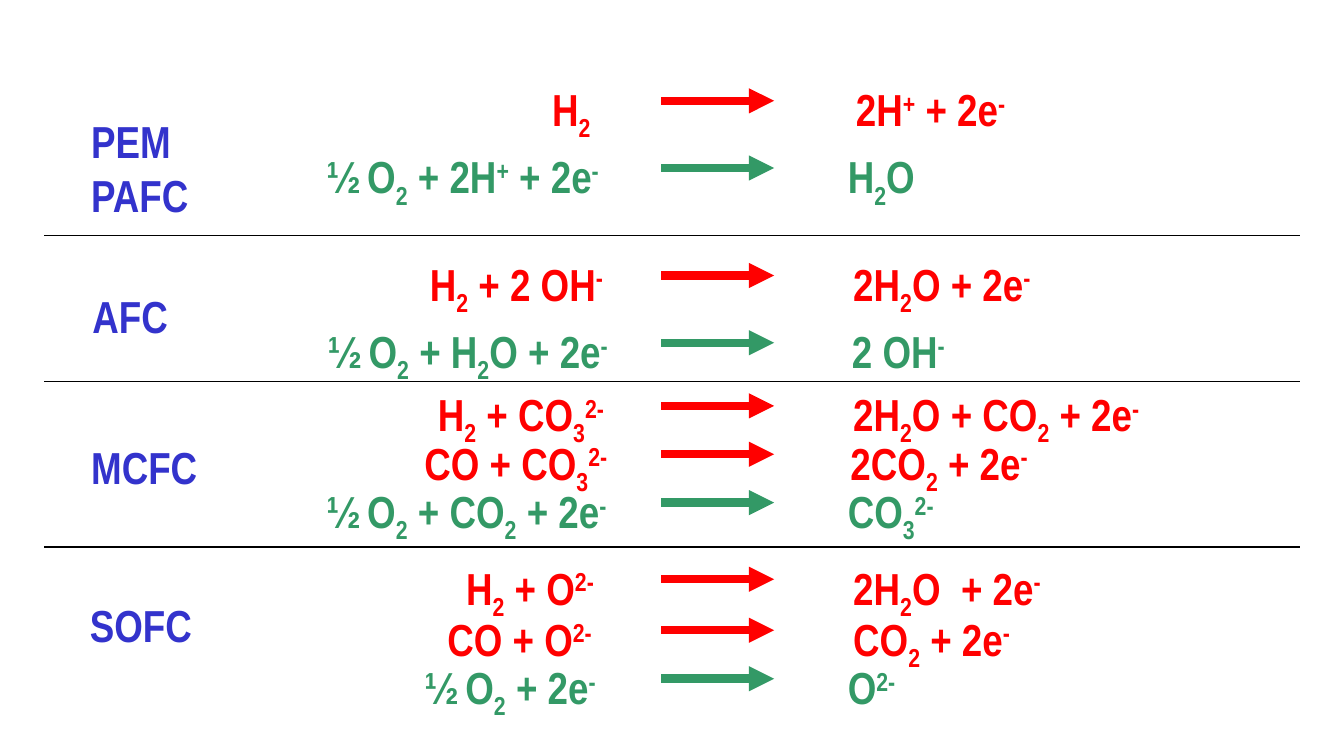
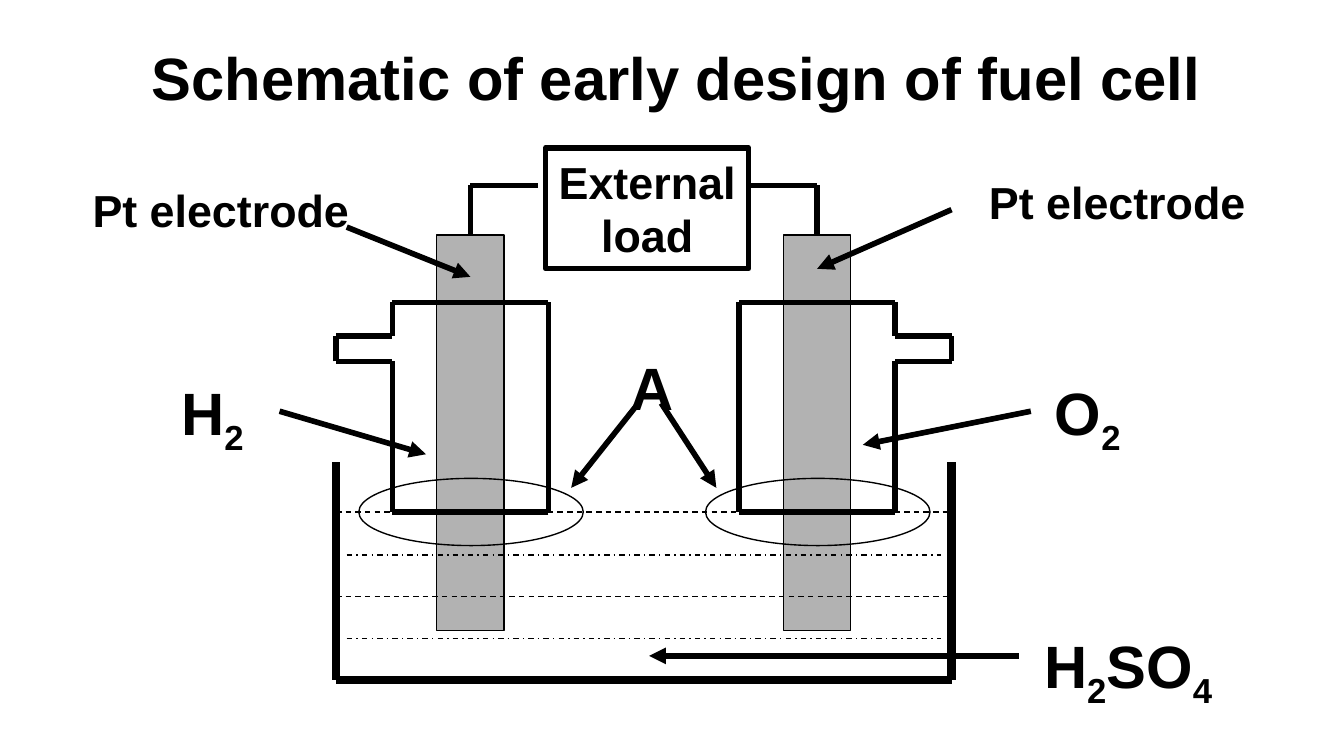
"""Build two fuel cell slides: electrode reactions and an early cell schematic."""
import dataclasses
import math
import typing

import lxml.etree
import pptx
import pptx.dml.color
import pptx.enum.dml
import pptx.enum.shapes
import pptx.enum.text
import pptx.oxml.ns
import pptx.util

PX = 9144
COLORS = {"black": "000000", "label": "3333CC", "anode": "FF0000",
          "cathode": "339966", "electrode": "B2B2B2"}
BASELINES = {"_": "-25000", "^": "30000"}
TIGHT_MARGIN = 7
ARROW_LEFT, ARROW_RIGHT, ARROW_DROP = 492, 576, 19
RULE_LEFT, RULE_RIGHT = 33, 967
TANK_LEFT, TANK_RIGHT, TANK_TOP, TANK_BOTTOM = 250, 708, 344, 506
LIQUID_TOP = 381

Point = tuple[int, int]


@dataclasses.dataclass(frozen=True)
class Label:
    text: str
    x: int
    y: int
    width: int
    wrap: bool = True


@dataclasses.dataclass(frozen=True)
class Reaction:
    kind: str
    y: int
    left: Label
    right: Label


@dataclasses.dataclass(frozen=True)
class Cell:
    x: int
    side: int


@dataclasses.dataclass(frozen=True)
class Stroke:
    start: Point
    end: Point
    width: float = 3
    dash: typing.Any = None


def reaction(kind: str, y: int, x: int, width: int, reactants: str,
             product_x: int, product_width: int, products: str, wrap: bool = True) -> Reaction:
    return Reaction(kind, y, Label(reactants, x, y, width, wrap),
                    Label(products, product_x, y, product_width, wrap))


TYPES = [
    Label("PEM\nPAFC", 58, 80, 94, False),
    Label("AFC", 59, 210, 76, False),
    Label("MCFC", 58, 322, 99, False),
    Label("SOFC", 57, 440, 96, False),
]
RULES = [175, 284, 407]
REACTIONS = [
    reaction("anode", 56, 401, 48, "H|_2", 627, 131, "2H|^+| + 2e|^-", False),
    reaction("cathode", 106, 233, 258, "½ O|_2| + 2H|^+| + 2e|^-", 621, 83, "H|_2|O"),
    reaction("anode", 186, 310, 149, "H|_2| + 2 OH|^-", 625, 158, "2H|_2|O + 2e|^-"),
    reaction("cathode", 236, 234, 258, "½ O|_2| + H|_2|O + 2e|^-", 624, 158, "2 OH|^-"),
    reaction("anode", 283, 316, 176, "H|_2| + CO|_3|^2-", 625, 317, "2H|_2|O + CO|_2| + 2e|^-"),
    reaction("anode", 319, 306, 176, "CO + CO|_3|^2-", 623, 260, "2CO|_2| + 2e|^-"),
    reaction("cathode", 355, 233, 258, "½ O|_2| + CO|_2| + 2e|^-", 621, 150, "CO|_3|^2-"),
    reaction("anode", 412, 337, 143, "H|_2| + O|^2-", 625, 208, "2H|_2|O  + 2e|^-"),
    reaction("anode", 450, 323, 159, "CO + O|^2-", 625, 260, "CO|_2| + 2e|^-"),
    reaction("cathode", 486, 306, 192, "½ O|_2| + 2e|^-", 621, 150, "O|^2-"),
]

CELLS = [Cell(350, -1), Cell(608, 1)]
DASH = pptx.enum.dml.MSO_LINE.DASH
DASH_DOT = pptx.enum.dml.MSO_LINE.DASH_DOT
TANK = [
    Stroke((TANK_LEFT, TANK_TOP), (TANK_LEFT, TANK_BOTTOM), 4.5),
    Stroke((TANK_RIGHT, TANK_TOP), (TANK_RIGHT, TANK_BOTTOM), 4.5),
    Stroke((TANK_LEFT, TANK_BOTTOM), (TANK_RIGHT, TANK_BOTTOM), 4.5),
    *(Stroke((TANK_LEFT, y), (TANK_RIGHT, y), 0.75, DASH) for y in (LIQUID_TOP, 444)),
    *(Stroke((TANK_LEFT + 8, y), (TANK_RIGHT - 8, y), 0.75, DASH_DOT) for y in (413, 475)),
]
ELECTRODE_LABELS = [Label("Pt electrode", 726, 125, 211, False),
                    Label("Pt electrode", 59, 131, 211, False)]
PART_LABELS = [
    Label("H|_2", 125, 275, 68),
    Label("O|_2", 775, 275, 77),
    Label("H|_2|SO|_4", 767, 463, 167),
    Label("A", 459, 256, 52, False),
]
POINTERS = [
    Stroke((708, 156), (608, 200)),
    Stroke((258, 169), (350, 206)),
    Stroke((767, 306), (642, 331)),
    Stroke((208, 306), (317, 338)),
    Stroke((758, 488), (483, 488)),
    Stroke((475, 300), (425, 363)),
    Stroke((492, 300), (533, 363)),
]


def rgb(name: str) -> pptx.dml.color.RGBColor:
    return pptx.dml.color.RGBColor.from_string(COLORS[name])


def box(x: int, y: int, width: int, height: int) -> list[int]:
    return [value * PX for value in (x, y, width, height)]


def write_text(tf, text: str, size: int, color: str, font: str, wrap: bool,
               align=pptx.enum.text.PP_ALIGN.LEFT) -> None:
    tf.word_wrap = wrap
    tf.auto_size = pptx.enum.text.MSO_AUTO_SIZE.SHAPE_TO_FIT_TEXT
    tf.vertical_anchor = pptx.enum.text.MSO_ANCHOR.TOP
    if not wrap:
        tf.margin_right = TIGHT_MARGIN * PX
    for i, line in enumerate(text.split("\n")):
        p = tf.add_paragraph() if i else tf.paragraphs[0]
        p.alignment = align
        p.font.size = pptx.util.Pt(size)
        p.font.bold = True
        p.font.name = font
        p.font.color.rgb = rgb(color)
        for part in line.split("|"):
            r = p.add_run()
            r.text = part.lstrip("_^")
            if part[0] in BASELINES:
                r.font._element.set("baseline", BASELINES[part[0]])


def add_label(s, label: Label, size: int, color: str, font: str) -> None:
    lines = label.text.count("\n") + 1
    height = 10 + lines * math.ceil(size * 5 / 3) + ("_" in label.text) * size // 4
    sp = s.shapes.add_textbox(*box(label.x, label.y, label.width, height))
    write_text(sp.text_frame, label.text, size, color, font, label.wrap)


def add_line(s, stroke: Stroke, color: str = "black", arrow: bool = False) -> None:
    sp = s.shapes.add_connector(pptx.enum.shapes.MSO_CONNECTOR.STRAIGHT,
                                *(value * PX for value in stroke.start + stroke.end))
    sp.line.color.rgb = rgb(color)
    sp.line.width = pptx.util.Pt(stroke.width)
    if stroke.dash:
        sp.line.dash_style = stroke.dash
    if arrow:
        ln = sp.line._get_or_add_ln()
        lxml.etree.SubElement(ln, pptx.oxml.ns.qn("a:tailEnd"), type="triangle")
    lxml.etree.SubElement(sp._element.spPr, pptx.oxml.ns.qn("a:effectLst"))


def add_path(s, points: list[Point]) -> None:
    for start, end in zip(points, points[1:]):
        add_line(s, Stroke(start, end))


def add_outline(s, kind, bounds: list[int], width: float, fill: str | None = None):
    sp = s.shapes.add_shape(kind, *bounds)
    sp.shadow.inherit = False
    if fill:
        sp.fill.solid()
        sp.fill.fore_color.rgb = rgb(fill)
    else:
        sp.fill.background()
    sp.line.color.rgb = rgb("black")
    sp.line.width = pptx.util.Pt(width)
    return sp


def add_jar(s, cell: Cell) -> None:
    outer, inner, tip = (cell.x + cell.side * offset for offset in (58, -58, 100))
    add_path(s, [(outer, 269), (tip, 269), (tip, 250), (outer, 250), (outer, 225),
                 (inner, 225), (inner, LIQUID_TOP), (outer, LIQUID_TOP), (outer, 269)])


def build_reactions(prs) -> None:
    s = prs.slides.add_slide(prs.slide_layouts[6])
    for y in RULES:
        add_line(s, Stroke((RULE_LEFT, y), (RULE_RIGHT, y), 0.75))
    for label in TYPES:
        add_label(s, label, 24, "label", "Arial Narrow")
    for item in REACTIONS:
        for label in (item.left, item.right):
            add_label(s, label, 24, item.kind, "Arial Narrow")
        y = item.y + ARROW_DROP
        add_line(s, Stroke((ARROW_LEFT, y), (ARROW_RIGHT, y), 4.5), item.kind, arrow=True)


def build_schematic(prs) -> None:
    s = prs.slides.add_slide(prs.slide_layouts[5])
    title = s.shapes.title
    title.left, title.top, title.width, title.height = box(103, 25, 801, 64)
    write_text(title.text_frame, "Schematic of early design of fuel cell",
               32, "black", "Arial", False)
    shapes = pptx.enum.shapes.MSO_SHAPE
    for cell in CELLS:
        add_outline(s, shapes.RECTANGLE, box(cell.x - 25, 175, 50, 294), 0.75, "electrode")
    for stroke in TANK:
        add_line(s, stroke)
    for cell in CELLS:
        add_jar(s, cell)
        add_path(s, [(cell.x, 175), (cell.x, 138), (cell.x - cell.side * 50, 138)])
        add_outline(s, shapes.OVAL, box(cell.x - 83, LIQUID_TOP - 25, 167, 50), 0.75)
    load = add_outline(s, shapes.RECTANGLE, box(406, 110, 151, 90), 3)
    write_text(load.text_frame, "External\nload", 24, "black", "Arial", False,
               pptx.enum.text.PP_ALIGN.CENTER)
    load.text_frame.margin_left = TIGHT_MARGIN * PX
    for label in ELECTRODE_LABELS:
        add_label(s, label, 24, "black", "Arial")
    for label in PART_LABELS:
        add_label(s, label, 32, "black", "Arial")
    for pointer in POINTERS:
        add_line(s, pointer, arrow=True)


def main() -> None:
    prs = pptx.Presentation()
    prs.slide_width = 1000 * PX
    prs.slide_height = prs.slide_width * 9 // 16
    build_reactions(prs)
    build_schematic(prs)
    prs.save("out.pptx")


if __name__ == "__main__":
    main()
